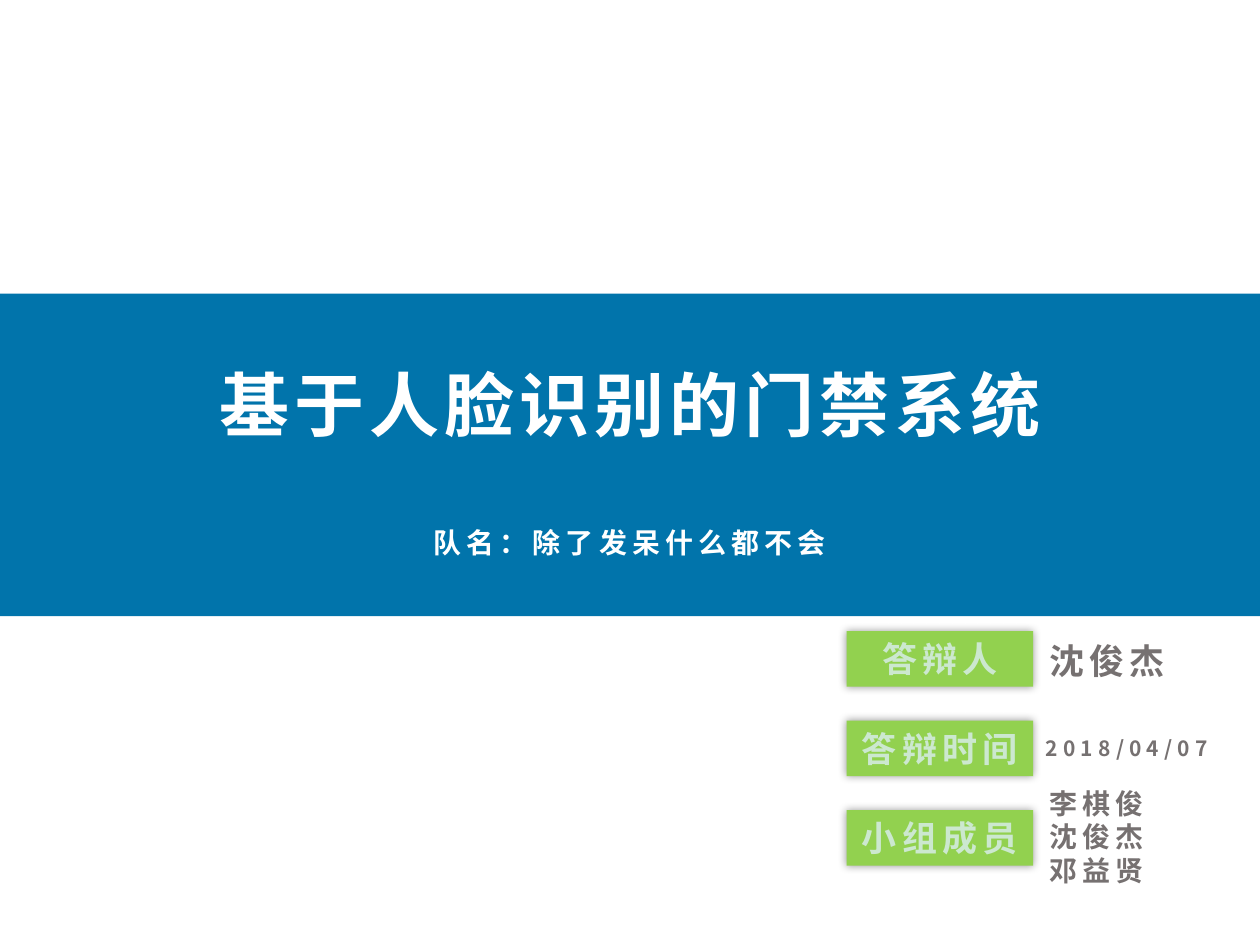
from lxml.etree import SubElement
from pptx import Presentation
from pptx.dml.color import RGBColor
from pptx.enum.shapes import MSO_SHAPE
from pptx.enum.text import MSO_ANCHOR, MSO_AUTO_SIZE, PP_ALIGN
from pptx.oxml.ns import qn
from pptx.util import Inches, Pt

FONT = "Noto Sans CJK SC"
COLORS = {
    "white": "FFFFFF",
    "blue": "0174AB",
    "green": "92D14F",
    "mint": "CCE8CF",
    "gray": "767171",
    "black": "000000",
}


def rgb(name):
    return RGBColor.from_string(COLORS[name])


class CoverSlide:
    def __init__(self, prs):
        self.s = prs.slides.add_slide(prs.slide_layouts[0])
        fill = self.s.background.fill
        fill.solid()
        fill.fore_color.rgb = rgb("white")

    def set_text(self, shape, lines, size, color, align=PP_ALIGN.LEFT, anchor=MSO_ANCHOR.TOP):
        tf = shape.text_frame
        tf.word_wrap = True
        tf.auto_size = MSO_AUTO_SIZE.NONE
        tf.vertical_anchor = anchor
        tf.text = "\n".join(lines)
        for p in tf.paragraphs:
            p.alignment = align
            p.space_before = Pt(0)
            for r in p.runs:
                r.font.size = Pt(size)
                r.font.bold = True
                r.font.name = FONT
                r.font.color.rgb = rgb(color)
                rPr = r._r.get_or_add_rPr()
                rPr.set("spc", "300")
                SubElement(rPr, qn("a:ea"), typeface=FONT)

    def placeholder(self, sp, text, box, size):
        sp.left, sp.top, sp.width, sp.height = map(Inches, box)
        self.set_text(sp, [text], size, "white", PP_ALIGN.CENTER)

    def rect(self, box, color):
        sp = self.s.shapes.add_shape(MSO_SHAPE.RECTANGLE, *map(Inches, box))
        sp.shadow.inherit = False
        sp.fill.solid()
        sp.fill.fore_color.rgb = rgb(color)
        sp.line.fill.background()
        return sp

    def band(self, box):
        """Full-width bar, sent behind the placeholders."""
        sp = self.rect(box, "blue")
        self.s.shapes._spTree.insert(2, sp._element)

    def label(self, text, box):
        sp = self.rect(box, "green")
        effects = sp._element.spPr.find(qn("a:effectLst"))
        shadow = SubElement(effects, qn("a:outerShdw"), blurRad=str(Pt(5)),
                            algn="ctr", rotWithShape="0")
        clr = SubElement(shadow, qn("a:srgbClr"), val=COLORS["black"])
        SubElement(clr, qn("a:alpha"), val="40000")
        self.set_text(sp, [text], 20, "mint", PP_ALIGN.CENTER, MSO_ANCHOR.MIDDLE)

    def value(self, lines, box, size):
        tb = self.s.shapes.add_textbox(*map(Inches, box))
        self.set_text(tb, lines, size, "gray")


def main():
    prs = Presentation()
    prs.slide_width, prs.slide_height = Inches(10), Inches(7.5)
    cover = CoverSlide(prs)
    title, subtitle = cover.s.placeholders

    cover.band((0, 2.33, 10, 2.56))
    cover.placeholder(title, "基于人脸识别的门禁系统", (1.16, 2.82, 7.68, 0.9), 40)
    cover.placeholder(subtitle, "队名：除了发呆什么都不会", (1.16, 4.12, 7.68, 0.42), 16)

    details = [
        ("答辩人", ["沈俊杰"], (8.23, 5.03, 1.77, 0.44), 20),
        ("答辩时间", ["2018/04/07"], (8.2, 5.79, 1.77, 0.3), 12),
        ("小组成员", ["李棋俊", "沈俊杰", "邓益贤"], (8.23, 6.19, 1.77, 0.91), 16),
    ]
    for i, (name, lines, box, size) in enumerate(details):
        cover.label(name, (6.72, 5.01 + 0.71 * i, 1.48, 0.44))
        cover.value(lines, box, size)

    prs.save("out.pptx")


if __name__ == "__main__":
    main()
